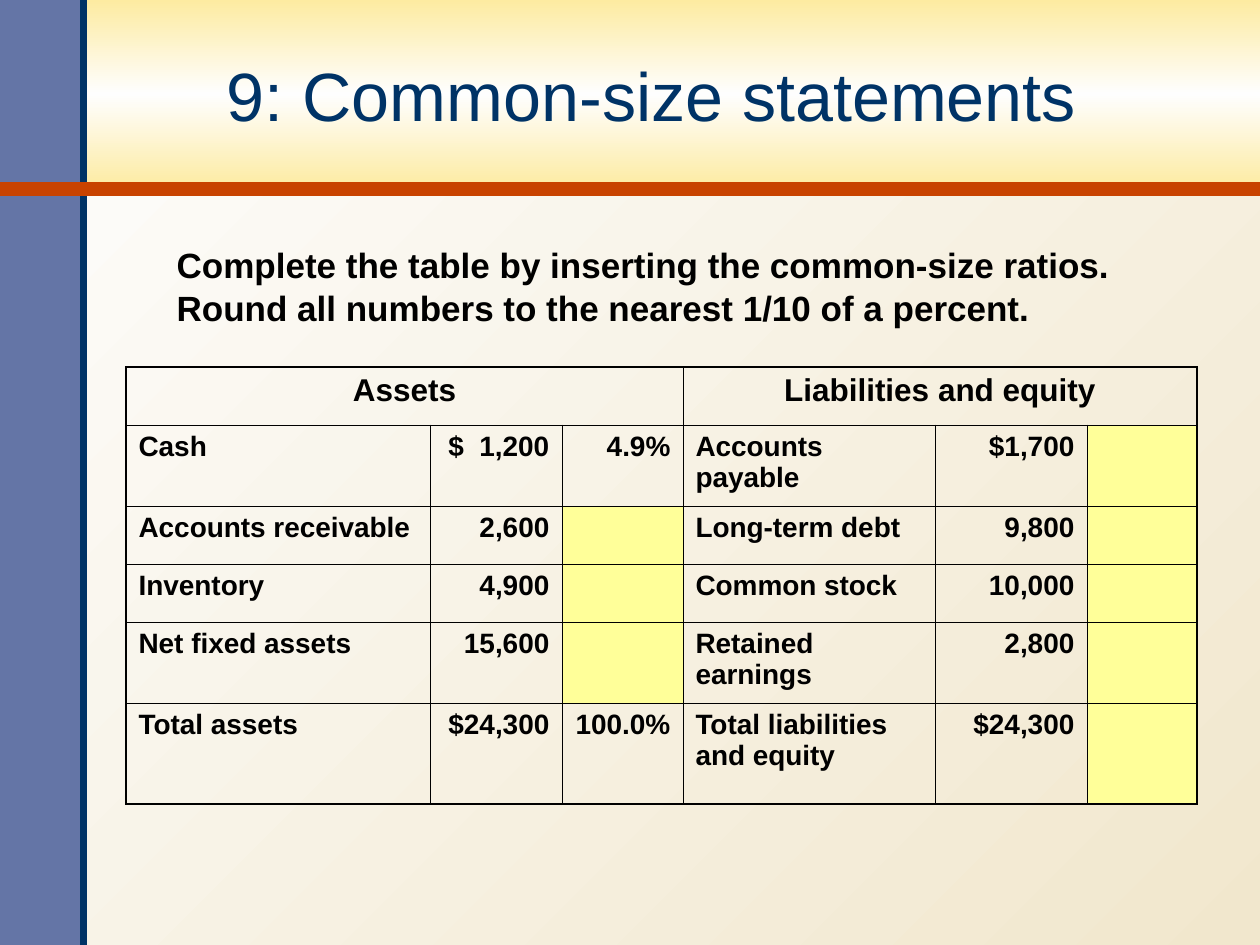
from dataclasses import dataclass

from lxml import etree
from pptx import Presentation
from pptx import util as u
from pptx.dml.color import RGBColor
from pptx.enum import shapes, text
from pptx.oxml.ns import qn

PX_PER_INCH = 126


@dataclass(frozen=True)
class Theme:
    font: str = "Arial"
    ink: str = "000000"
    navy: str = "003366"
    slate: str = "6475A6"
    rust: str = "C84300"
    gold: str = "FDEBA1"
    sand: str = "F1E7CD"
    white: str = "FEFEFE"
    answer: str = "FFFF99"
    title_size: int = 39
    body_size: int = 20
    head_size: int = 18
    cell_size: int = 16
    thin: float = 0.45
    thick: float = 1.08


THEME = Theme()
LEFT, CENTER, RIGHT = text.PP_ALIGN.LEFT, text.PP_ALIGN.CENTER, text.PP_ALIGN.RIGHT

HEADS = ["Assets", "Liabilities and equity"]
# None marks a ratio that the reader fills in
ROWS = [
    ["Cash", "$  1,200", "4.9%", "Accounts payable", "$1,700", None],
    ["Accounts receivable", "2,600", None, "Long-term debt", "9,800", None],
    ["Inventory", "4,900", None, "Common stock", "10,000", None],
    ["Net fixed assets", "15,600", None, "Retained earnings", "2,800", None],
    ["Total assets", "$24,300", "100.0%", "Total liabilities and equity", "$24,300", None],
]
COLUMN_WIDTHS = [304, 132, 121, 252, 152, 110]
ROW_HEIGHTS = [58, 81, 58, 58, 81, 101]


def px(length):
    return u.Inches(length / PX_PER_INCH)


def place(shape, box):
    shape.left, shape.top, shape.width, shape.height = map(px, box)


def style(para, size, color, bold=False, align=LEFT):
    para.alignment = align
    for span in para.runs:
        span.font.name = THEME.font
        span.font.size = u.Pt(size)
        span.font.bold = bold
        span.font.color.rgb = RGBColor.from_string(color)


def set_gradient(fill, element, colors, angle):
    """Spread the colours evenly; the angle runs counter-clockwise."""
    fill.gradient()
    fill.gradient_angle = angle
    stops = element.find(".//" + qn("a:gsLst"))
    for stop in list(stops):
        stops.remove(stop)
    for index, color in enumerate(colors):
        position = 100000 * index // (len(colors) - 1)
        stop = etree.SubElement(stops, qn("a:gs"), pos=str(position))
        etree.SubElement(stop, qn("a:srgbClr"), val=color)


def add_panel(page, box):
    panel = page.shapes.add_shape(shapes.MSO_SHAPE.RECTANGLE, *map(px, box))
    panel.shadow.inherit = False
    panel.line.fill.background()
    return panel


def add_rule(page, start, end, color, width):
    rule = page.shapes.add_connector(
        shapes.MSO_CONNECTOR.STRAIGHT, *map(px, start + end))
    rule.line.color.rgb = RGBColor.from_string(color)
    rule.line.width = u.Pt(width)
    etree.SubElement(rule._element.spPr, qn("a:effectLst"))


def add_frame(page, box):
    """Background, top band, side bar and the two rules."""
    left, top, width, height = box
    band_height, bar_width = 189, 84
    set_gradient(page.background.fill, page._element,
                 [THEME.sand, THEME.white], 135)
    band = add_panel(page, (left, top, width, band_height))
    set_gradient(band.fill, band._element,
                 [THEME.gold, THEME.white, THEME.gold], 270)
    bar = add_panel(page, (left, top, bar_width, height))
    bar.fill.solid()
    bar.fill.fore_color.rgb = RGBColor.from_string(THEME.slate)
    add_rule(page, (left + bar_width, top + height), (left + bar_width, top),
             THEME.navy, 4)
    add_rule(page, (left, top + band_height), (left + width, top + band_height),
             THEME.rust, 8)


def raise_placeholder(page, holder, box):
    """Place it, and bring it in front of the frame."""
    place(holder, box)
    page.shapes._spTree.append(holder._element)
    frame = holder.text_frame
    frame.auto_size = text.MSO_AUTO_SIZE.NONE
    frame.word_wrap = True
    return frame


def add_title(page, box, wording):
    frame = raise_placeholder(page, page.shapes.title, box)
    frame.vertical_anchor = text.MSO_ANCHOR.MIDDLE
    frame.text = wording
    style(frame.paragraphs[0], THEME.title_size, THEME.navy, align=CENTER)


def add_instructions(page, box, lines):
    frame = raise_placeholder(page, page.placeholders[1], box)
    frame.vertical_anchor = text.MSO_ANCHOR.TOP
    frame.margin_top = px(63)
    frame.text = "\n".join(lines)
    for index, para in enumerate(frame.paragraphs):
        props = para._p.get_or_add_pPr()
        props.set("marL", str(px(59)))
        props.set("indent", "0")
        etree.SubElement(props, qn("a:buNone"))
        para.line_spacing = 0.8
        para.space_before = u.Pt(5 if index else 0)
        style(para, THEME.body_size, THEME.ink, bold=True)


def set_borders(cell, row, column):
    """Thick on the outer edge of the table, thin inside."""
    outer = {
        "L": column == 0,
        "R": column + cell.span_width == len(COLUMN_WIDTHS),
        "T": row == 0,
        "B": row == len(ROW_HEIGHTS) - 1,
    }
    props = cell._tc.get_or_add_tcPr()
    for side, is_outer in outer.items():
        width = u.Pt(THEME.thick if is_outer else THEME.thin)
        line = etree.SubElement(props, qn(f"a:ln{side}"), w=str(width))
        paint = etree.SubElement(line, qn("a:solidFill"))
        etree.SubElement(paint, qn("a:srgbClr"), val=THEME.ink)


def fill_cell(cell, wording, size, align):
    if wording is None:
        cell.fill.solid()
        cell.fill.fore_color.rgb = RGBColor.from_string(THEME.answer)
        return
    cell.fill.background()
    cell.text = wording
    style(cell.text_frame.paragraphs[0], size, THEME.ink, True, align)


def add_balance_table(page, box):
    table = page.shapes.add_table(
        len(ROW_HEIGHTS), len(COLUMN_WIDTHS), *map(px, box)).table
    table.first_row = table.horz_banding = False
    for column, width in zip(table.columns, COLUMN_WIDTHS):
        column.width = px(width)
    for row, height in zip(table.rows, ROW_HEIGHTS):
        row.height = px(height)

    # Each heading spans one half of the table
    half = len(COLUMN_WIDTHS) // len(HEADS)
    for index, head in enumerate(HEADS):
        first = index * half
        cell = table.cell(0, first)
        cell.merge(table.cell(0, first + half - 1))
        set_borders(cell, 0, first)
        fill_cell(cell, head, THEME.head_size, CENTER)

    for row, values in enumerate(ROWS, start=1):
        for column, value in enumerate(values):
            cell = table.cell(row, column)
            set_borders(cell, row, column)
            fill_cell(cell, value, THEME.cell_size, RIGHT if column % half else LEFT)


def main():
    deck = Presentation()
    deck.slide_width, deck.slide_height = px(1260), px(945)
    page = deck.slides.add_slide(deck.slide_layouts[1])
    add_frame(page, (0, 0, 1260, 945))
    add_title(page, (82, 19, 1139, 151), "9: Common-size statements")
    add_instructions(page, (105, 189, 1071, 168), [
        "Complete the table by inserting the common-size ratios.",
        "Round all numbers to the nearest 1/10 of a percent.",
    ])
    add_balance_table(page, (126, 367, sum(COLUMN_WIDTHS), sum(ROW_HEIGHTS)))
    deck.save("out.pptx")


if __name__ == "__main__":
    main()
